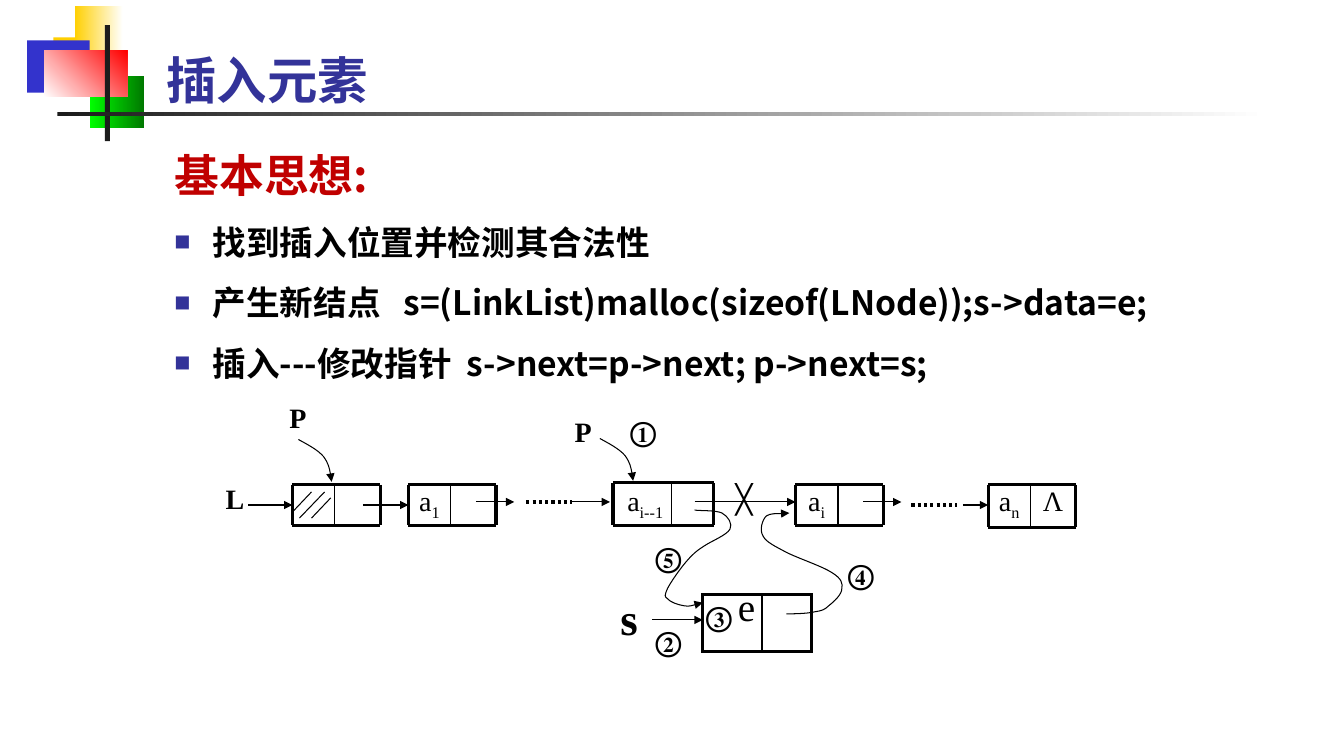
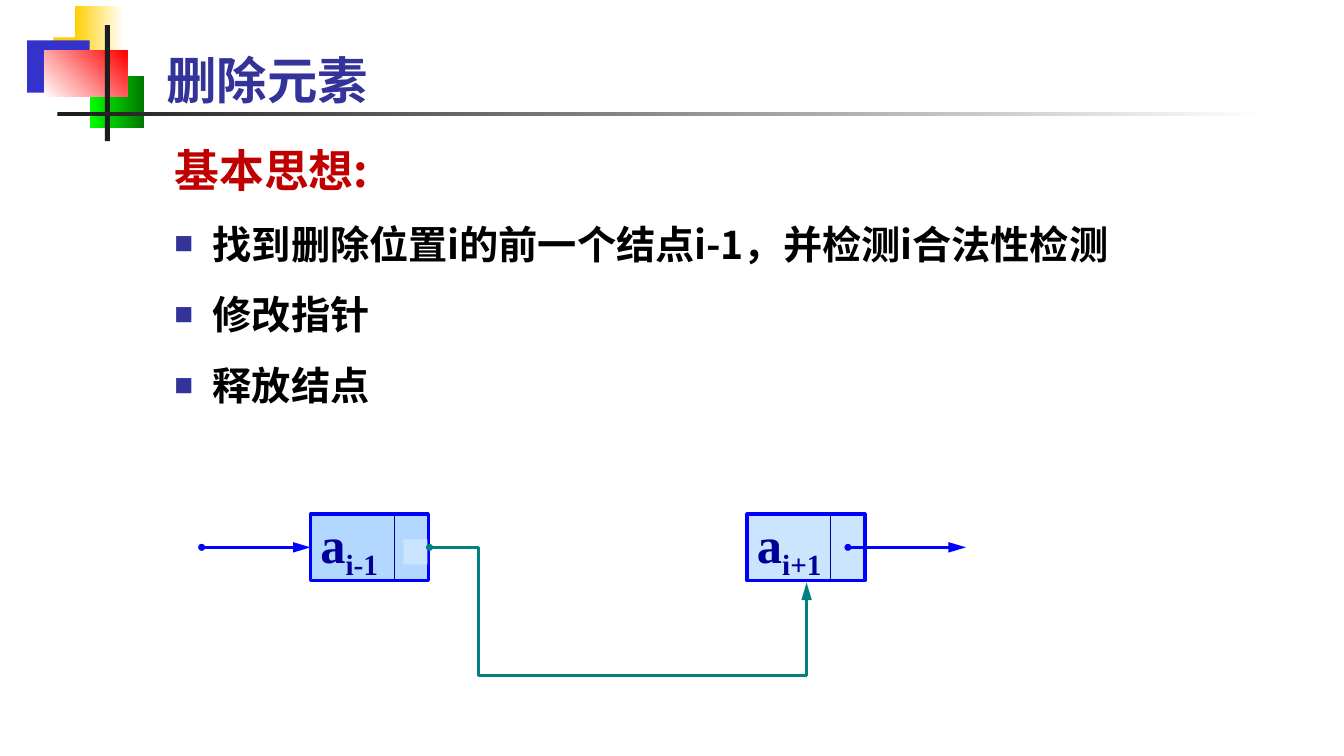
"""Build two slides on inserting into and deleting from a linked list."""
from pptx import Presentation
from pptx.dml.color import RGBColor
from pptx.enum.dml import MSO_LINE
from pptx.enum.shapes import MSO_CONNECTOR, MSO_SHAPE
from pptx.enum.text import MSO_ANCHOR, MSO_AUTO_SIZE, PP_ALIGN
from pptx.oxml.ns import qn
from pptx.util import Inches, Pt
from lxml.etree import SubElement

BLACK = RGBColor(0, 0, 0)
WHITE = RGBColor(255, 255, 255)
INK = RGBColor(0x1C, 0x1C, 0x1C)
GOLD = RGBColor(0xFF, 0xCF, 0x01)
ROYAL = RGBColor(0x33, 0x33, 0xCC)
LIME = RGBColor(0, 0xFF, 0)
GREEN = RGBColor(0, 0x78, 0)
RED = RGBColor(0xFF, 0, 0)
INDIGO = RGBColor(0x33, 0x33, 0x99)
CRIMSON = RGBColor(0xC0, 0, 0)
BLUE = RGBColor(0, 0, 0xFF)
NAVY = RGBColor(0, 0, 0x99)
TEAL = RGBColor(0, 0x80, 0x80)
SKY = RGBColor(0xB2, 0xD8, 0xFF)
PALE = RGBColor(0xCC, 0xE5, 0xFF)
SANS, SERIF, NARROW = "Noto Sans CJK SC", "Times New Roman", "Arial Narrow"


def place(shape, x, y, w, h):
    """Move and size a shape in inches."""
    shape.left, shape.top = Inches(x), Inches(y)
    shape.width, shape.height = Inches(w), Inches(h)


def box(slide, at, fill=None, edge=None, width=2.25):
    """Add a plain rectangle."""
    shape = slide.shapes.add_shape(MSO_SHAPE.RECTANGLE, *map(Inches, at))
    shape.shadow.inherit = False
    if fill is not None:
        shape.fill.solid()
        shape.fill.fore_color.rgb = fill
    if edge is None:
        shape.line.fill.background()
    else:
        shape.line.color.rgb = edge
        shape.line.width = Pt(width)
    return shape


def blend(slide, at, start, end, angle=0):
    """Add a rectangle with a two-colour gradient."""
    shape = box(slide, at)
    shape.fill.gradient()
    shape.fill.gradient_angle = angle
    for stop, color, spot in zip(shape.fill.gradient_stops, (start, end), (0, 1)):
        stop.color.rgb = color
        stop.position = spot
    return shape


def tips(shape, head, tail, long="med"):
    """Set the end marks of a line."""
    edge = shape.line._get_or_add_ln()
    if head:
        SubElement(edge, qn("a:headEnd"), type=head, w="sm", len="sm")
    if tail:
        SubElement(edge, qn("a:tailEnd"), type=tail, w="med", len=long)


def line(slide, start, end, color=BLACK, width=0.75, head=None, tail=None,
         dots=False, kind=MSO_CONNECTOR.STRAIGHT, join=None):
    """Add a connector, joined to the left side of a box if one is given."""
    link = slide.shapes.add_connector(kind, *map(Inches, (*start, *end)))
    if join is not None:
        link.end_connect(join, 1)
    link.line.color.rgb = color
    link.line.width = Pt(width)
    if dots:
        link.line.dash_style = MSO_LINE.ROUND_DOT
    tips(link, head, tail, "lg" if width > 2 else "med")
    SubElement(link.element.spPr, qn("a:effectLst"))
    return link


def curve(slide, start, *parts):
    """Add an arrow along cubic curves, each given as six numbers."""
    dots = [(Inches(part[k]), Inches(part[k + 1])) for part in parts for k in (0, 2, 4)]
    form = slide.shapes.build_freeform(*map(Inches, start), scale=1.0)
    form.add_line_segments(dots, close=False)
    shape = form.convert_to_shape()
    shape.shadow.inherit = False
    shape.fill.background()
    shape.line.color.rgb = BLACK
    shape.line.width = Pt(0.75)
    tips(shape, None, "triangle")
    steps = list(shape.element.iter(qn("a:lnTo")))
    track = steps[0].getparent()
    for k in range(0, len(steps), 3):
        bend = SubElement(track, qn("a:cubicBezTo"))
        for step in steps[k:k + 3]:
            bend.append(step[0])
            track.remove(step)


def write(para, text, size, color, font, bold=True, sub=False, east=False, gap=0):
    """Add one formatted run."""
    run = para.add_run()
    run.text = text
    face = run.font
    face.size, face.bold, face.name = Pt(size), bold, font
    face.color.rgb = color
    props = run._r.get_or_add_rPr()
    if east:
        SubElement(props, qn("a:ea"), typeface=SANS)
    if sub:
        props.set("baseline", "-25000")
    if gap:
        props.set("spc", str(gap))


def label(slide, text, x, y, w, h=0.43, size=20, bold=True, sub=None):
    """Add a centred label with an optional subscript."""
    frame = slide.shapes.add_textbox(*map(Inches, (x, y, w, h))).text_frame
    frame.word_wrap = False
    para = frame.paragraphs[0]
    para.alignment = PP_ALIGN.CENTER
    write(para, text, size, BLACK, SERIF, bold)
    if sub:
        write(para, sub, size, BLACK, SERIF, bold, True)
    return frame


def node(slide, x, sub=None, w=0.87, split=0.42, top=4.81, low=5.21, room=0.42):
    """Add a list node ruled by lines, with a data part and a pointer part."""
    for y in (top, low):
        line(slide, (x, y), (x + w, y), width=2.25)
    for part, width in ((0, 2.25), (split, 1), (w, 2.25)):
        line(slide, (x + part, top), (x + part, low), width=width)
    if sub:
        frame = label(slide, "a", x, 4.79, room, 0.4, bold=False, sub=sub)
        frame.margin_left = frame.margin_right = 0
        frame.margin_top = frame.margin_bottom = 0
        frame.vertical_anchor = MSO_ANCHOR.MIDDLE


def cell(slide, x, sub, fill):
    """Add a blue list node."""
    shape = box(slide, (x, 5.1, 1.17, 0.66), fill, BLUE)
    frame = shape.text_frame
    frame.word_wrap = True
    frame.vertical_anchor = MSO_ANCHOR.MIDDLE
    para = frame.paragraphs[0]
    para.alignment = PP_ALIGN.LEFT
    write(para, "a", 36, NAVY, SERIF)
    write(para, sub, 36, NAVY, SERIF, sub=True)
    line(slide, (x + 0.83, 5.1), (x + 0.83, 5.76), NAVY)
    return shape


def grid(slide, at, parts):
    """Add a one-row table with black borders."""
    table = slide.shapes.add_table(1, len(parts), *map(Inches, at)).table
    table.first_row = table.horz_banding = False
    for col, wide in enumerate(parts):
        table.columns[col].width = Inches(wide)
        item = table.cell(0, col)
        props = item._tc.get_or_add_tcPr()
        left = 2.25 if col == 0 else 1.5
        right = 2.25 if col == len(parts) - 1 else 1.5
        for side, width in zip("LRTB", (left, right, 2.25, 2.25)):
            edge = SubElement(props, qn("a:ln" + side), w=str(Pt(width)))
            fill = SubElement(edge, qn("a:solidFill"))
            SubElement(fill, qn("a:srgbClr"), val=str(BLACK))
        item.fill.background()


def dress(slide, layout):
    """Draw the shared corner marks and move them to the layout."""
    marks = [
        box(slide, (0.53, 0.37, 0.64, 0.52), GOLD),
        blend(slide, (0.74, 0.06, 0.48, 0.52), GOLD, WHITE),
        box(slide, (0.27, 0.4, 0.62, 0.52), ROYAL),
        blend(slide, (0.89, 0.75, 0.54, 0.52), LIME, GREEN),
        blend(slide, (0.44, 0.5, 0.82, 0.46), WHITE, RED, 45),
        box(slide, (1.04, 0.25, 0.05, 1.15), INK),
        blend(slide, (0.57, 1.11, 12, 0.04), INK, WHITE),
    ]
    for spot, mark in enumerate(marks, 2):
        layout.shapes.element.insert(spot, mark.element)


def bullet(para):
    """Give a paragraph a hanging square bullet."""
    props = para._p.get_or_add_pPr()
    props.set("marL", str(Inches(0.38)))
    props.set("indent", str(Inches(-0.38)))
    color = SubElement(props, qn("a:buClr"))
    SubElement(color, qn("a:srgbClr"), val=str(INDIGO))
    SubElement(props, qn("a:buSzPct"), val="80000")
    SubElement(props, qn("a:buFont"), typeface=SERIF)
    SubElement(props, qn("a:buChar"), char="■")


def page(deck, title, at, size, items):
    """Add a slide with its title, heading and list of (text, spacing) runs."""
    slide = deck.slides.add_slide(deck.slide_layouts[1])
    name, body = slide.placeholders
    place(name, 1.55, 0.44, 8.3, 0.69)
    frame = name.text_frame
    frame.auto_size = MSO_AUTO_SIZE.NONE
    frame.vertical_anchor = MSO_ANCHOR.MIDDLE
    frame.paragraphs[0].alignment = PP_ALIGN.LEFT
    write(frame.paragraphs[0], title, 36, INDIGO, NARROW, east=True)
    place(body, *at)
    frame = body.text_frame
    frame.auto_size = MSO_AUTO_SIZE.NONE
    frame.word_wrap = True
    para = frame.paragraphs[0]
    para.space_before, para.line_spacing = Pt(0), Pt(38)
    props = para._p.get_or_add_pPr()
    props.set("marL", "0")
    props.set("indent", "0")
    SubElement(props, qn("a:buNone"))
    write(para, "基本思想:", 32, CRIMSON, SANS, east=True)
    for item in items:
        para = frame.add_paragraph()
        para.space_before, para.line_spacing = Pt(0), Pt(size * 1.8)
        bullet(para)
        for text, gap in item:
            write(para, text, size, BLACK, SANS, east=True, gap=gap)
    return slide


def insert(slide):
    """Draw the insertion diagram."""
    node(slide, 2.9)
    node(slide, 4.05, "1")
    node(slide, 6.08, "i--1", 1, 0.58, 4.79, room=0.64)
    node(slide, 7.89, "i")
    node(slide, 9.8, "n", low=5.23)
    label(slide, "Λ", 10.22, 4.75, 0.45, bold=False)
    for a, b in (((3.22, 4.88), (2.97, 5.14)), ((3.28, 4.94), (3.09, 5.14)),
                 ((3.09, 4.88), (2.9, 5.08))):
        line(slide, a, b)
    for x, goal, y in ((2.46, 2.9, 5.01), (3.6, 4.05, 5.01), (4.72, 5.1, 4.98),
                       (5.67, 6.05, 4.98), (6.89, 7.89, 4.98), (8.56, 8.94, 4.98),
                       (9.55, 9.8, 5.01)):
        line(slide, (x, y), (goal, y), tail="triangle")
    for x, y in ((5.22, 4.98), (9.04, 5.01)):
        line(slide, (x, y), (x + 0.45, y), width=2.25, dots=True)
    for x, y in ((2.96, 4.36), (5.95, 4.35)):
        curve(slide, (x, y),
              (x + 0.09, y + 0.05, x + 0.19, y + 0.1, x + 0.25, y + 0.17),
              (x + 0.3, y + 0.24, x + 0.32, y + 0.33, x + 0.33, y + 0.42))
    grid(slide, (6.97, 5.9, 1.08, 0.56), (0.59, 0.49))
    line(slide, (6.47, 6.15), (6.97, 6.15), tail="triangle")
    curve(slide, (7.8, 6.09),
          (7.84, 6.09, 8, 6.09, 8.08, 6.07), (8.15, 6.06, 8.18, 6.05, 8.22, 6.01),
          (8.27, 5.97, 8.35, 5.9, 8.35, 5.84), (8.36, 5.79, 8.35, 5.74, 8.25, 5.68),
          (8.16, 5.62, 7.92, 5.54, 7.8, 5.48), (7.69, 5.42, 7.6, 5.38, 7.57, 5.32),
          (7.53, 5.26, 7.56, 5.16, 7.6, 5.12), (7.64, 5.09, 7.76, 5.1, 7.8, 5.09),
          (7.83, 5.09, 7.82, 5.09, 7.83, 5.09))
    curve(slide, (6.89, 5.06),
          (6.93, 5.07, 7.1, 5.06, 7.16, 5.09), (7.22, 5.12, 7.27, 5.2, 7.24, 5.25),
          (7.21, 5.31, 7.05, 5.37, 6.98, 5.42), (6.9, 5.47, 6.86, 5.51, 6.8, 5.58),
          (6.74, 5.65, 6.65, 5.78, 6.62, 5.84), (6.59, 5.91, 6.59, 5.92, 6.62, 5.94),
          (6.64, 5.97, 6.72, 6, 6.78, 6.01), (6.84, 6.02, 6.93, 5.99, 6.97, 5.98))
    for text, x, y in (("①", 6.14, 4.06), ("②", 6.39, 6.15), ("③", 6.89, 5.9),
                       ("④", 8.3, 5.48), ("⑤", 6.39, 5.31), ("╳", 7.14, 4.73)):
        label(slide, text, x, y, 0.48)
    for text, x, y in (("P", 2.77, 3.92), ("P", 5.6, 4.06), ("L", 2.14, 4.73)):
        label(slide, text, x, y, 0.37)
    label(slide, "s", 6.05, 5.81, 0.38, 0.63, 32)
    label(slide, "e", 7.22, 5.73, 0.37, 0.57, 28, False)


def delete(slide):
    """Draw the deletion diagram."""
    prior = cell(slide, 3.08, "i-1", SKY)
    cell(slide, 7.41, "i+1", PALE)
    box(slide, (4, 5.35, 0.24, 0.25), PALE)
    line(slide, (2, 5.43), (3.08, 5.43), BLUE, 2.5, "oval", "triangle", join=prior)
    line(slide, (8.41, 5.43), (9.58, 5.43), BLUE, 2.5, "oval", "triangle")
    bend = line(slide, (4.26, 5.43), (8, 5.78), TEAL, 2.5, "oval", "triangle",
                kind=MSO_CONNECTOR.ELBOW)
    shape = bend.element.spPr.find(qn("a:prstGeom"))
    shape.set("prst", "bentConnector4")
    guides = shape.find(qn("a:avLst"))
    for name, value in (("adj1", 13000), ("adj2", 364000)):
        SubElement(guides, qn("a:gd"), name=name, fmla=f"val {value}")


def main():
    """Build and save the deck."""
    deck = Presentation()
    deck.slide_width, deck.slide_height = Inches(13.33), Inches(7.5)
    slide = page(deck, "插入元素", (1.63, 1.42, 10.75, 2.46), 24, (
        [("找到插入位置并检测其合法性", 0)],
        [("产生新结点", 0), (" ", 1080), ("s=(LinkList)malloc(sizeof(LNode));s->data=e;", 0)],
        [("插入---修改指针", 0), (" ", 540), ("s->next=p->next; p->next=s;", 0)]))
    dress(slide, deck.slide_layouts[1])
    insert(slide)
    delete(page(deck, "删除元素", (1.63, 1.37, 9.77, 2.76), 28, (
        [("找到删除位置i的前一个结点i-1，并检测i合法性检测", 0)],
        [("修改指针", 0)], [("释放结点", 0)])))
    deck.save("out.pptx")


if __name__ == "__main__":
    main()
